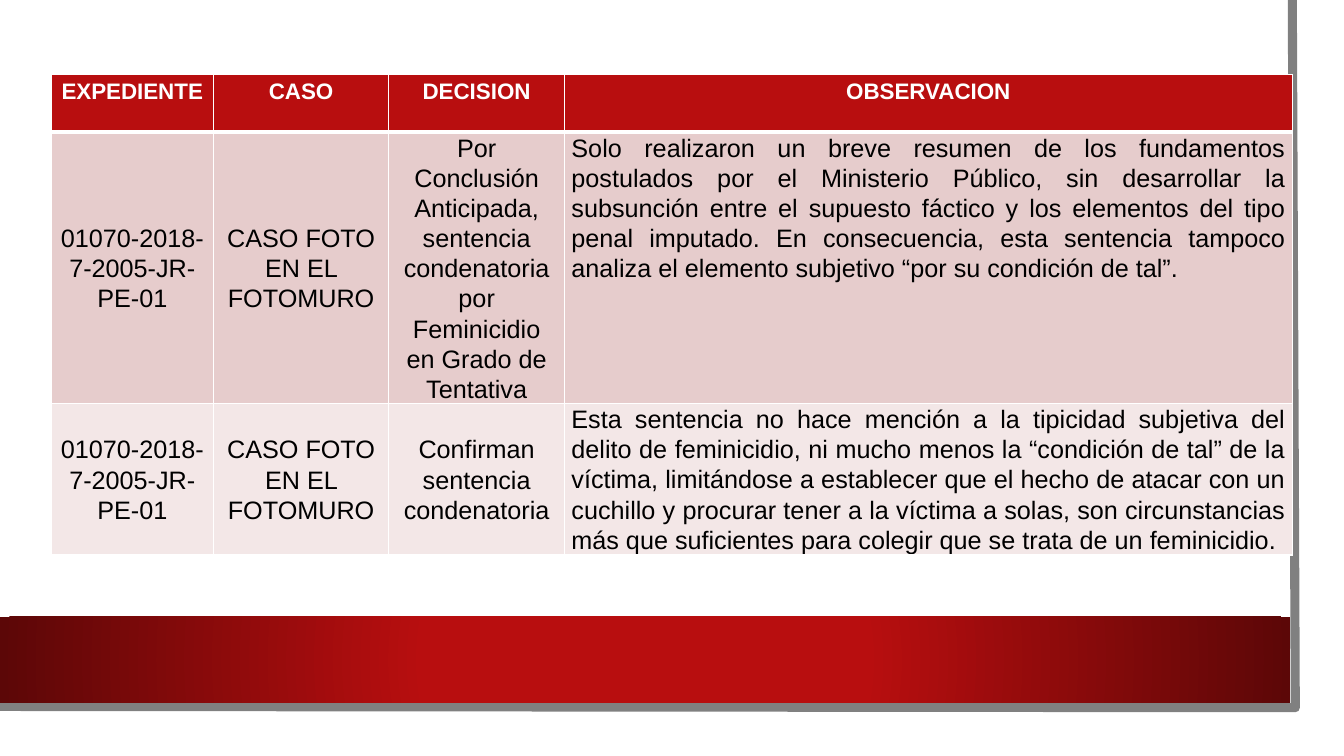
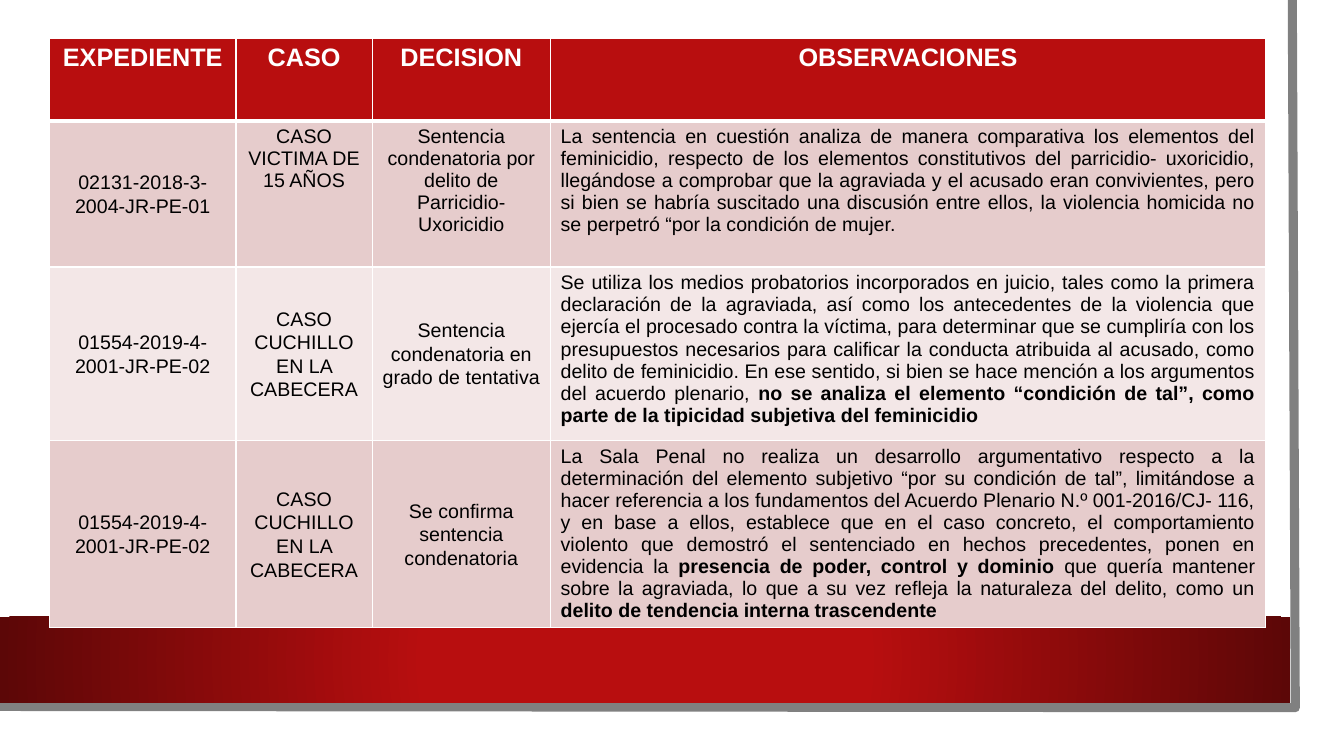
from lxml.etree import SubElement
from pptx import Presentation
from pptx.dml.color import RGBColor as RGB
from pptx.enum.shapes import MSO_SHAPE as SHAPE
from pptx.enum.text import MSO_ANCHOR as ANCHOR, PP_ALIGN as ALIGN
from pptx.oxml import parse_xml
from pptx.oxml.ns import nsdecls, qn
from pptx.util import Emu, Inches, Pt

COLORS = {
    "white": "FFFFFF",
    "black": "000000",
    "red": "B80E0F",
    "wine": "5C0707",
    "gray": "808080",
    "rose": "E6CCCC",
    "blush": "F3E7E7",
}


def rgb(name):
    return RGB.from_string(COLORS[name])


class Deck:
    COLUMNS, ROWS = 32, 18
    FONT = "Arial"
    SPACING, AFTER = 1.07, Pt(8)
    SIDE = Inches(0.07)

    def __init__(self):
        self.prs = Presentation()
        self.prs.slide_width = Inches(13.33)
        self.prs.slide_height = Inches(7.5)
        self.s = None

    def x(self, columns):
        return Emu(round(self.prs.slide_width * columns / self.COLUMNS))

    def y(self, rows):
        return Emu(round(self.prs.slide_height * rows / self.ROWS))

    def slide(self):
        self.s = self.prs.slides.add_slide(self.prs.slide_layouts[6])
        card = self.rect(0, 0, 31.44, 17.45)
        card.fill.solid()
        card.fill.fore_color.rgb = rgb("white")
        self.edge((30.77, 0), (30.84, 16.85), (-0.07, 16.82))
        self.glow(self.rect(0, 14.69, 30.72, 2.04))

    def rect(self, left, top, width, height):
        sp = self.s.shapes.add_shape(
            SHAPE.RECTANGLE, self.x(left), self.y(top), self.x(width), self.y(height))
        sp.shadow.inherit = False
        sp.line.fill.background()
        return sp

    def edge(self, start, *points):
        builder = self.s.shapes.build_freeform(self.x(start[0]), self.y(start[1]))
        builder.add_line_segments([(self.x(a), self.y(b)) for a, b in points], close=False)
        sp = builder.convert_to_shape()
        sp.shadow.inherit = False
        sp.fill.background()
        sp.line.color.rgb = rgb("gray")
        sp.line.width = Pt(6.5)

    def glow(self, sp):
        sp.fill.gradient()
        for stop, name, position in zip(sp.fill.gradient_stops, ("red", "wine"), (0.34, 1)):
            stop.color.rgb = rgb(name)
            stop.position = position
        grad = sp._element.spPr.find(qn("a:gradFill"))
        grad.remove(grad.find(qn("a:lin")))
        circle = SubElement(grad, qn("a:path"))
        circle.set("path", "circle")
        SubElement(circle, qn("a:fillToRect"), l="50000", t="50000", r="50000", b="50000")

    def table(self, left, top, widths, heights, rows, head_size, body_size, loose=()):
        table = self.s.shapes.add_table(
            len(heights), len(widths), self.x(left), self.y(top),
            self.x(sum(widths)), self.y(sum(heights))).table
        for column, width in zip(table.columns, widths):
            column.width = self.x(width)
        for row, height in zip(table.rows, heights):
            row.height = self.y(height)
        for i, texts in enumerate(rows):
            for j, text in enumerate(texts):
                cell = table.cell(i, j)
                cell.fill.solid()
                if i == 0:
                    cell.fill.fore_color.rgb = rgb("red")
                    self.put_text(cell, text, head_size, "white", True, ALIGN.CENTER)
                else:
                    last = j == len(texts) - 1
                    cell.fill.fore_color.rgb = rgb("rose" if i % 2 else "blush")
                    p = self.put_text(cell, text, body_size, "black", False,
                                      ALIGN.JUSTIFY if last else ALIGN.CENTER)
                    if (i, j) not in loose:
                        self.tighten(cell, p, last)
                self.borders(cell, 3 if i == 1 else 1, 3 if i == 0 else 1)

    def put_text(self, cell, text, size, color, bold, align):
        p = cell.text_frame.paragraphs[0]
        p.alignment = align
        p.font.name = self.FONT
        p.font.size = Pt(size)
        p.font.color.rgb = rgb(color)
        p.font.bold = bold
        for k, part in enumerate(text.split("**")):
            if part:
                r = p.add_run()
                r.text = part
                if k % 2:
                    r.font.bold = True
        return p

    def tighten(self, cell, p, last):
        cell.margin_left = cell.margin_right = self.SIDE
        cell.margin_top = cell.margin_bottom = 0
        cell.vertical_anchor = ANCHOR.TOP if last else ANCHOR.MIDDLE
        p.line_spacing = self.SPACING
        p.space_after = self.AFTER

    def borders(self, cell, top, bottom):
        tcPr = cell._tc.get_or_add_tcPr()
        for k, (side, width) in enumerate(zip("LRTB", (1, 1, top, bottom))):
            tcPr.insert(k, parse_xml(
                f'<a:ln{side} {nsdecls("a")} w="{Pt(width)}"><a:solidFill>'
                f'<a:srgbClr val="{COLORS["white"]}"/></a:solidFill></a:ln{side}>'))


def main():
    deck = Deck()

    photo_file = "01070-2018-7-2005-JR-PE-01"
    photo_case = "CASO FOTO EN EL FOTOMURO"
    deck.slide()
    deck.table(
        1.22, 1.78, (3.86, 4.18, 4.18, 17.33), (1.37, 6.46, 3.6),
        [
            ("EXPEDIENTE", "CASO", "DECISION", "OBSERVACION"),
            (photo_file, photo_case,
             "Por Conclusión Anticipada, sentencia condenatoria por Feminicidio "
             "en Grado de Tentativa",
             "Solo realizaron un breve resumen de los fundamentos postulados por el "
             "Ministerio Público, sin desarrollar la subsunción entre el supuesto fáctico "
             "y los elementos del tipo penal imputado. En consecuencia, esta sentencia "
             "tampoco analiza el elemento subjetivo “por su condición de tal”."),
            (photo_file, photo_case, "Confirman sentencia condenatoria",
             "Esta sentencia no hace mención a la tipicidad subjetiva del delito de "
             "feminicidio, ni mucho menos la “condición de tal” de la víctima, limitándose "
             "a establecer que el hecho de atacar con un cuchillo y procurar tener a la "
             "víctima a solas, son circunstancias más que suficientes para colegir que se "
             "trata de un feminicidio."),
        ],
        head_size=16, body_size=18)

    knife_file = "01554-2019-4-2001-JR-PE-02"
    knife_case = "CASO CUCHILLO EN LA CABECERA"
    deck.slide()
    deck.table(
        1.18, 0.91, (4.44, 3.24, 4.25, 17.02), (1.97, 3.48, 4.13, 4.46),
        [
            ("EXPEDIENTE", "CASO", "DECISION", "OBSERVACIONES"),
            ("02131-2018-3-2004-JR-PE-01", "CASO VICTIMA DE 15 AÑOS",
             "Sentencia condenatoria por delito de Parricidio- Uxoricidio",
             "La sentencia en cuestión analiza de manera comparativa los elementos del "
             "feminicidio, respecto de los elementos constitutivos del parricidio- "
             "uxoricidio, llegándose a comprobar que la agraviada y el acusado eran "
             "convivientes, pero si bien se habría suscitado una discusión entre ellos, la "
             "violencia homicida no se perpetró “por la condición de mujer."),
            (knife_file, knife_case, "Sentencia condenatoria en grado de tentativa",
             "Se utiliza los medios probatorios incorporados en juicio, tales como la "
             "primera declaración de la agraviada, así como los antecedentes de la "
             "violencia que ejercía el procesado contra la víctima, para determinar que se "
             "cumpliría con los presupuestos necesarios para calificar la conducta "
             "atribuida al acusado, como delito de feminicidio. En ese sentido, si bien se "
             "hace mención a los argumentos del acuerdo plenario, **no se analiza el "
             "elemento “condición de tal”, como parte de la tipicidad subjetiva del "
             "feminicidio**"),
            (knife_file, knife_case, "Se confirma sentencia condenatoria",
             "La Sala Penal no realiza un desarrollo argumentativo respecto a la "
             "determinación del elemento subjetivo “por su condición de tal”, limitándose a "
             "hacer referencia a los fundamentos del Acuerdo Plenario N.º 001-2016/CJ- 116, "
             "y en base a ellos, establece que en el caso concreto, el comportamiento "
             "violento que demostró el sentenciado en hechos precedentes, ponen en "
             "evidencia la **presencia de poder, control y dominio **que quería mantener "
             "sobre la agraviada, lo que a su vez refleja la naturaleza del delito, como un "
             "**delito de tendencia interna trascendente**"),
        ],
        head_size=18, body_size=14,
        loose={(1, 1), (1, 2), (1, 3), (2, 3), (3, 3)})

    deck.prs.save("out.pptx")


if __name__ == "__main__":
    main()
